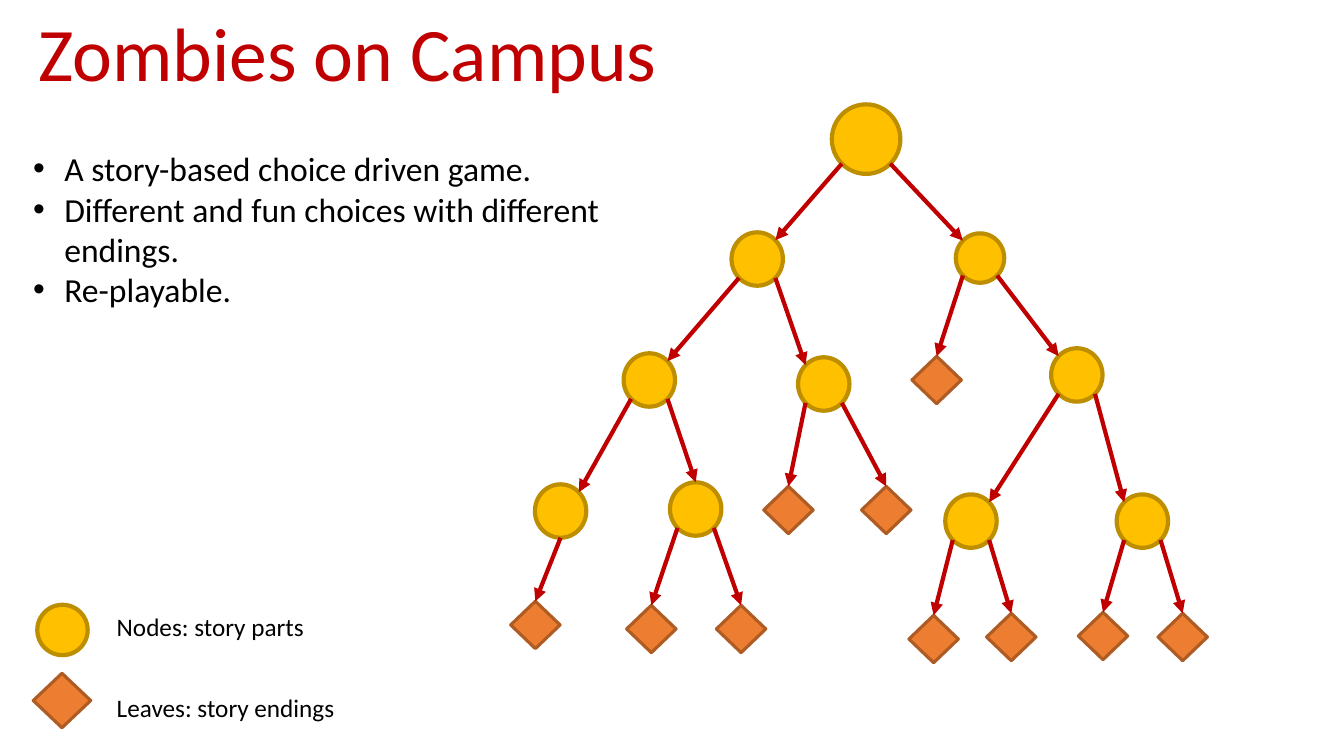
from dataclasses import dataclass
from math import cos, radians, sin

from pptx import Presentation
from pptx.dml.color import RGBColor
from pptx.enum.shapes import MSO_CONNECTOR as Line, MSO_SHAPE as Preset
from pptx.enum.text import MSO_ANCHOR as Anchor
from pptx.oxml.ns import qn
from pptx.util import Inches, Pt
from lxml.etree import SubElement


@dataclass(frozen=True)
class Theme:
    font: str = "Calibri"
    title_size: float = 54
    body_size: float = 24
    legend_size: float = 18
    accent: str = "C00000"
    text: str = "000000"
    node_fill: str = "FFC000"
    node_line: str = "BD8E00"
    leaf_fill: str = "ED7D31"
    leaf_line: str = "AF5C24"
    node_weight: float = 3
    leaf_weight: float = 2.25
    arrow_weight: float = 3


@dataclass(frozen=True)
class Box:
    """A region in grid columns and rows; one cell is one inch square."""
    left: float
    top: float
    width: float
    height: float

    def inside(self, left, top, width, height):
        return Box(self.left + left, self.top + top, width, height)

    def emu(self):
        return [Inches(v) for v in (self.left, self.top, self.width, self.height)]

    def rim(self, degrees):
        """Point on the inscribed ellipse, clockwise from the right."""
        angle = radians(degrees)
        return (self.left + self.width / 2 * (1 + cos(angle)),
                self.top + self.height / 2 * (1 + sin(angle)))


@dataclass(frozen=True)
class Story:
    """A story part, or an ending when it has no children."""
    x: float
    y: float
    children: tuple = ()
    size: tuple = (0.51, 0.53)
    entry: int = 0  # arrow entry angle, when it is not the inner corner


THEME = Theme()
COLUMNS, ROWS = 13.33, 7.5
LEAF_SIZE = (0.49, 0.47)
TOP, BOTTOM = 270, 90
EXITS, ENTRIES = (135, 45), (315, 225)  # left child, right child

# Centres in the tree's own grid
LEFT_BRANCH = Story(2.51, 1.57, (
    Story(1.44, 2.77, (
        Story(0.56, 4.07, (Story(0.31, 5.2),)),
        Story(1.9, 4.05, (Story(1.46, 5.24), Story(2.35, 5.24)), entry=TOP))),
    Story(3.17, 2.81, (Story(2.82, 4.06), Story(3.79, 4.06)))))
RIGHT_BRANCH = Story(4.72, 1.56, (
    Story(4.29, 2.77),
    Story(5.68, 2.72, (
        Story(4.63, 4.17, (Story(4.26, 5.34), Story(5.03, 5.32))),
        Story(6.33, 4.17, (Story(5.94, 5.31), Story(6.73, 5.32)))))),
    size=(0.48, 0.49))
STORY_TREE = Story(3.59, 0.38, (LEFT_BRANCH, RIGHT_BRANCH), size=(0.68, 0.69))


def color(code):
    return RGBColor.from_string(code)


def add_marker(slide, box, is_leaf):
    preset, fill, line, weight = (
        (Preset.DIAMOND, THEME.leaf_fill, THEME.leaf_line, THEME.leaf_weight)
        if is_leaf else
        (Preset.OVAL, THEME.node_fill, THEME.node_line, THEME.node_weight))
    marker = slide.shapes.add_shape(preset, *box.emu())
    marker.shadow.inherit = False
    marker.fill.solid()
    marker.fill.fore_color.rgb = color(fill)
    marker.line.color.rgb = color(line)
    marker.line.width = Pt(weight)


def add_arrow(slide, start, end):
    arrow = slide.shapes.add_connector(
        Line.STRAIGHT, *[Inches(v) for v in (*start, *end)])
    arrow.line.color.rgb = color(THEME.accent)
    arrow.line.width = Pt(THEME.arrow_weight)
    SubElement(arrow.line._get_or_add_ln(), qn("a:tailEnd"), type="triangle")
    SubElement(arrow._element.spPr, qn("a:effectLst"))


def add_text(slide, box, lines, size, ink, anchor=Anchor.TOP):
    frame = slide.shapes.add_textbox(*box.emu()).text_frame
    frame.word_wrap = True
    frame.vertical_anchor = anchor
    for index, line in enumerate(lines):
        paragraph = frame.add_paragraph() if index else frame.paragraphs[0]
        run = paragraph.add_run()
        run.text = line
        run.font.name = THEME.font
        run.font.size = Pt(size)
        run.font.color.rgb = color(ink)
    return frame.paragraphs


def draw_title(slide, box):
    heading, = add_text(slide, box, ["Zombies on Campus"],
                        THEME.title_size, THEME.accent, Anchor.MIDDLE)
    heading.line_spacing = 0.9


def draw_features(slide, box):
    features = add_text(slide, box, [
        "A story-based choice driven game.",
        "Different and fun choices with different endings.",
        "Re-playable."], THEME.body_size, THEME.text)
    indent = Inches(0.31)
    for feature in features:
        props = feature._p.get_or_add_pPr()
        props.set("marL", str(indent))
        props.set("indent", str(-indent))
        SubElement(props, qn("a:buFont"), typeface="Arial")
        SubElement(props, qn("a:buChar"), char="•")


def draw_legend(slide, box):
    add_marker(slide, box.inside(0.04, 0, 0.5, 0.5), is_leaf=False)
    add_marker(slide, box.inside(0, 0.68, 0.57, 0.54), is_leaf=True)
    for row, label in ((0.02, "Nodes: story parts"), (0.82, "Leaves: story endings")):
        add_text(slide, box.inside(0.73, row, 2.77, 0.4), [label],
                 THEME.legend_size, THEME.text)


def draw_tree(slide, box, story):
    """Draw a story part with its branches; return its own box."""
    width, height = story.size if story.children else LEAF_SIZE
    place = box.inside(story.x - width / 2, story.y - height / 2, width, height)
    add_marker(slide, place, is_leaf=not story.children)
    only_child = len(story.children) == 1
    for child, leave, inner in zip(story.children, EXITS, ENTRIES):
        target = draw_tree(slide, box, child)
        enter = child.entry or (inner if child.children else TOP)
        add_arrow(slide, place.rim(BOTTOM if only_child else leave),
                  target.rim(enter))
    return place


def main():
    deck = Presentation()
    deck.slide_width, deck.slide_height = Inches(COLUMNS), Inches(ROWS)
    slide = deck.slides.add_slide(deck.slide_layouts[6])
    draw_title(slide, Box(0.28, 0.21, 11.5, 0.71))
    draw_features(slide, Box(0.23, 1.42, 6.67, 1.72))
    draw_legend(slide, Box(0.33, 6, 3.5, 1.22))
    draw_tree(slide, Box(5, 1, 7, 5.6), STORY_TREE)
    deck.save("out.pptx")


main()
